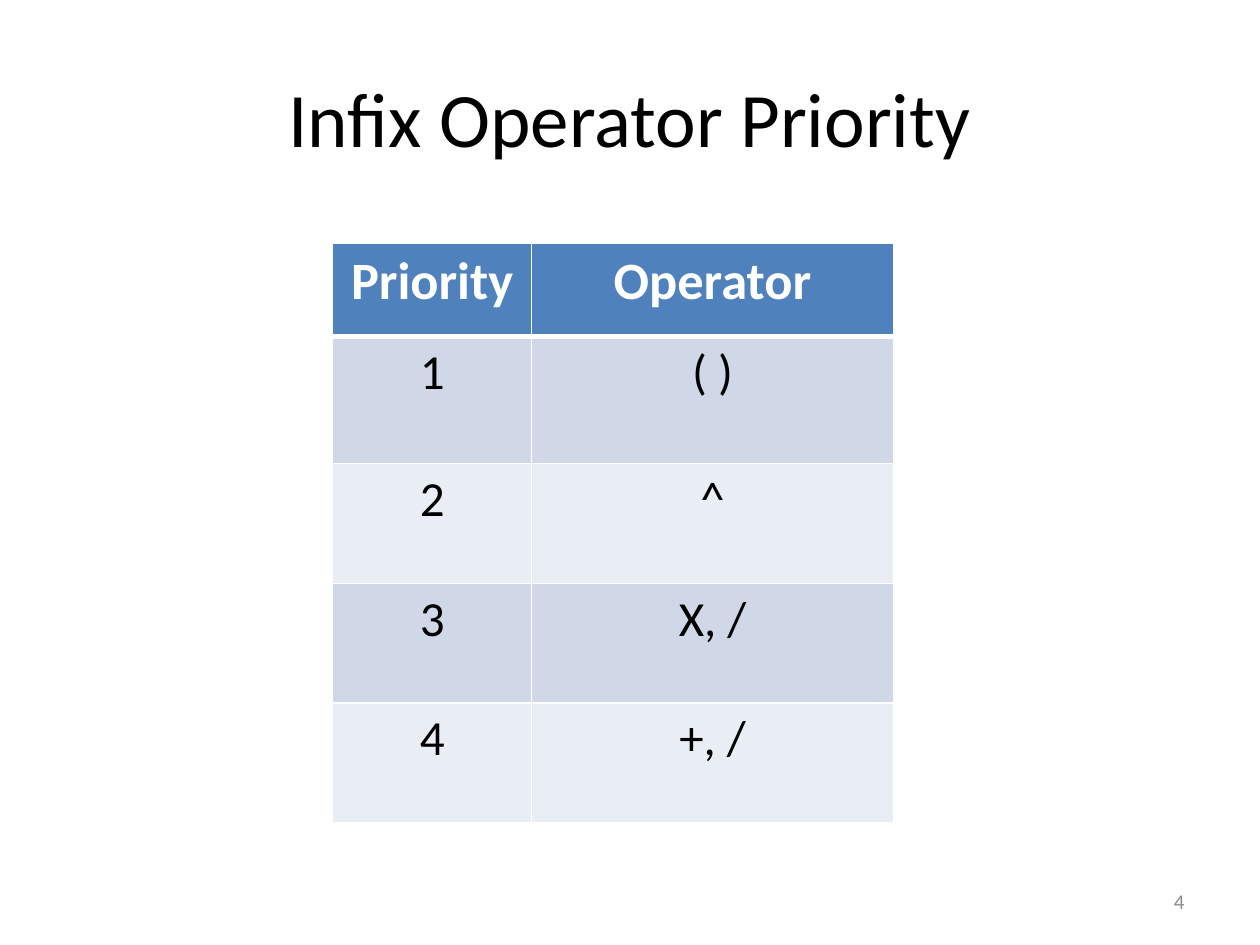
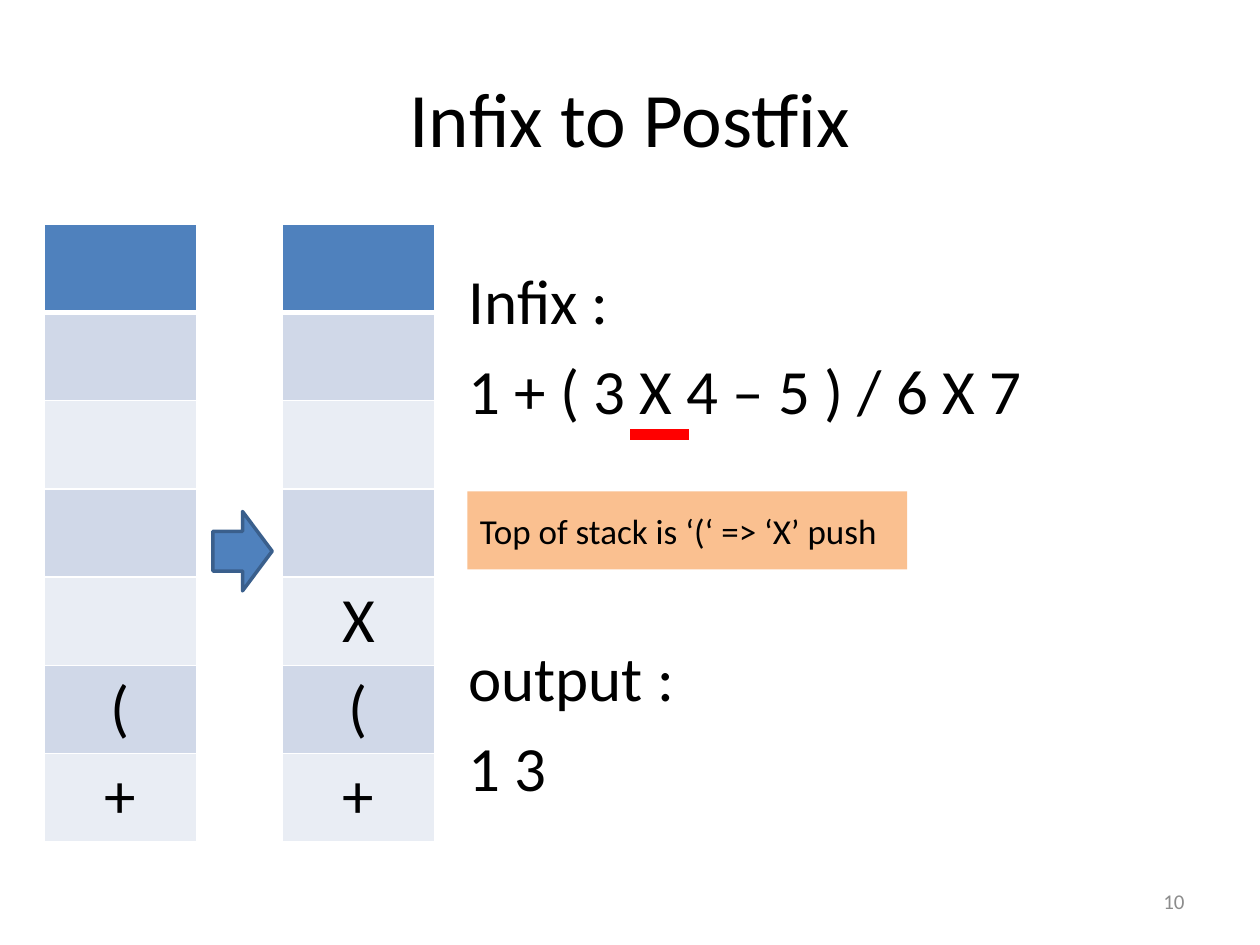
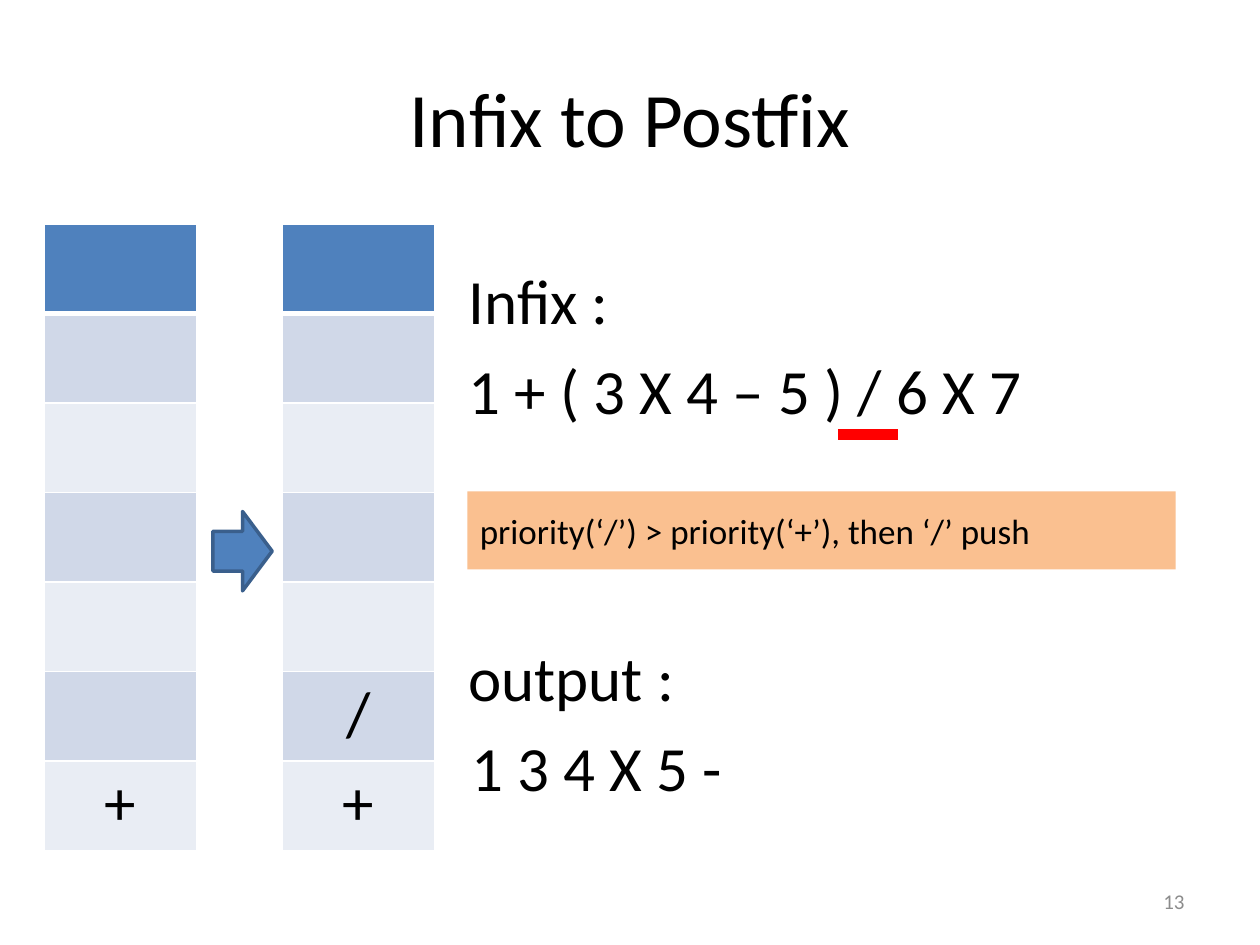
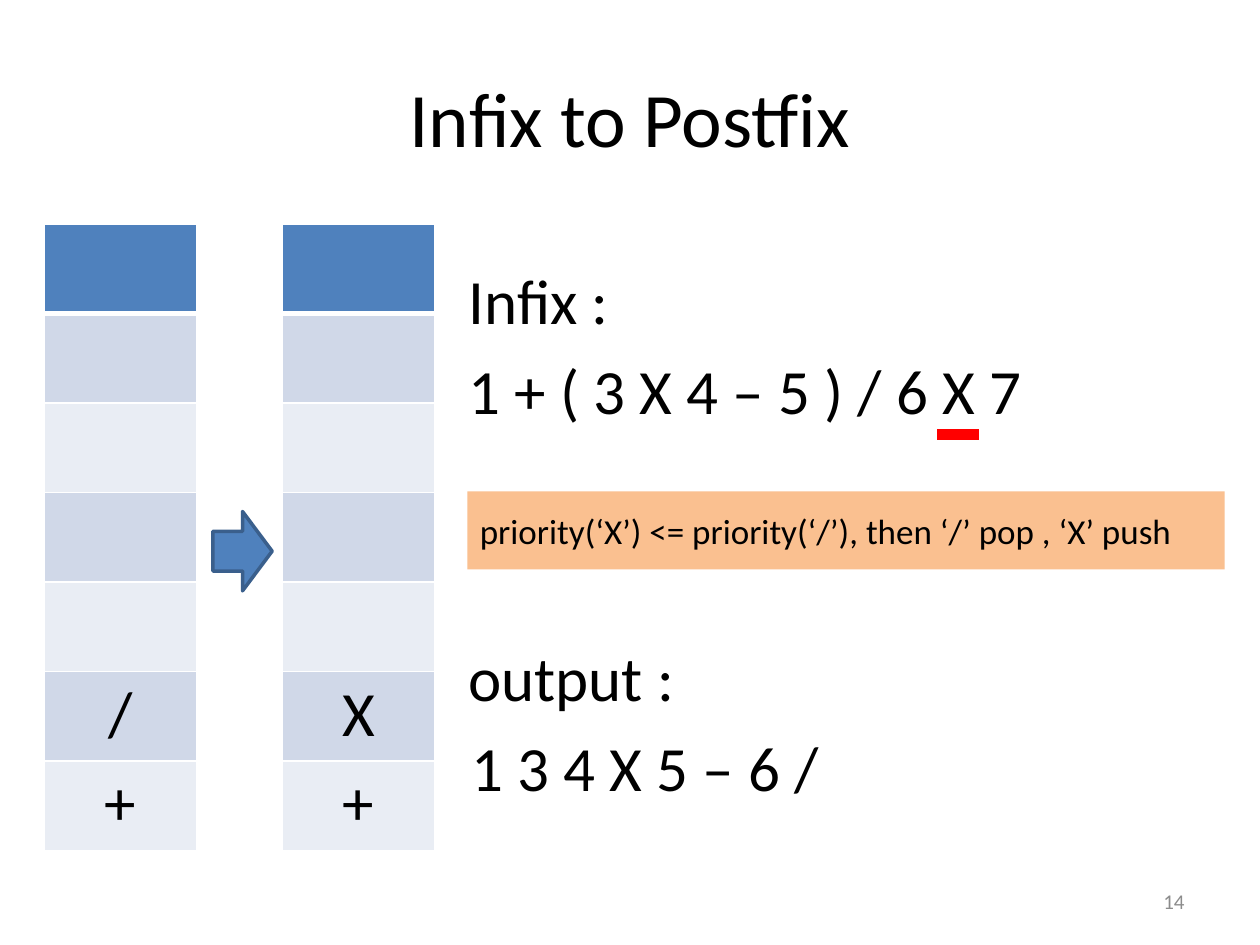
from pptx import Presentation
from pptx.dml.color import RGBColor
from pptx.enum.shapes import MSO_CONNECTOR, MSO_SHAPE
from pptx.enum.text import MSO_ANCHOR as Anchor, MSO_AUTO_SIZE as AutoSize, PP_ALIGN as Align
from pptx.oxml import parse_xml
from pptx.oxml.ns import nsdecls
from pptx.util import Inches, Pt

# Content
PRIORITY_PAGE = 4
PRIORITY_TITLE = "Infix Operator Priority"
PRIORITIES = [
    ("Priority", "Operator"),
    ("1", "( )"),
    ("2", "^"),
    ("3", "X, /"),
    ("4", "+, /"),
]
STEP_TITLE = "Infix to Postfix"
EXPRESSION = "1 + ( 3 X 4 – 5 ) / 6 X 7"
# Stacks are listed from the bottom up; "mark" is the underline's left and right
STEPS = [
    dict(page=10, before="+(", after="+(X", mark=(5, 5.47), row=0.7,
         rule="Top of stack is ‘(‘ => ‘X’ push", rule_width=3.49,
         output="1 3", output_left=3.62),
    dict(page=13, before="+", after="+/", mark=(6.65, 7.13), row=0.71,
         rule="priority(‘/’) > priority(‘+’), then ‘/’ push", rule_width=5.62,
         output="1 3 4 X 5 -", output_left=3.64),
    dict(page=14, before="+/", after="+X", mark=(7.44, 7.77), row=0.71,
         rule="priority(‘X’) <= priority(‘/’), then ‘/’ pop , ‘X’ push", rule_width=6.01,
         output="1 3 4 X 5 – 6 /", output_left=3.64),
]

# Shared style
FONT = "Calibri"
BLACK, WHITE, GREY, RED = "000000", "FFFFFF", "8C8C8C", "FF0000"
BLUE, DARK_BLUE, ORANGE = "4F81BD", "3A5F8C", "FAC090"
BANDS = ("E9EDF4", "D0D8E8")

# Shared layout, in inches
WIDTH, HEIGHT, MARGIN = 10, 7.5, 0.5
STACK_LEFTS, STACK_TOP, STACK_WIDTH, STACK_SLOTS = (0.35, 2.24), 1.78, 1.21, 7
TEXT_LEFT, LINE_HEIGHT = 3.62, 0.71
INFIX_TOP, OUTPUT_TOP = 2.03, 5.02

prs = Presentation()
prs.slide_width, prs.slide_height = Inches(WIDTH), Inches(HEIGHT)


def color(value):
    return RGBColor.from_string(value)


def box(left, top, width, height):
    return [Inches(n) for n in (left, top, width, height)]


def write(frame, text, size, fill=BLACK, align=Align.LEFT, bold=False):
    paragraph = frame.paragraphs[0]
    paragraph.text, paragraph.alignment = text, align
    font = paragraph.font
    font.name, font.size, font.bold = FONT, Pt(size), bold
    font.color.rgb = color(fill)


def add_text(slide, place, text, size, fill=BLACK, align=Align.LEFT, anchor=Anchor.MIDDLE):
    frame = slide.shapes.add_textbox(*box(*place)).text_frame
    frame.word_wrap, frame.vertical_anchor = True, anchor
    write(frame, text, size, fill, align)
    return frame


def add_line_of_text(slide, left, top, width, text):
    frame = add_text(slide, (left, top, width, LINE_HEIGHT), text, 36, anchor=Anchor.TOP)
    frame.auto_size = AutoSize.SHAPE_TO_FIT_TEXT


def add_shape(slide, kind, place, fill):
    shape = slide.shapes.add_shape(kind, *box(*place))
    shape.shadow.inherit = False
    shape.fill.solid()
    shape.fill.fore_color.rgb = color(fill)
    shape.line.fill.background()
    return shape


def set_borders(cell, row):
    """White rules, with a thick one under the heading row."""
    widths = dict(lnL=1, lnR=1, lnT=3 if row == 1 else 1, lnB=3 if row == 0 else 1)
    for index, (tag, width) in enumerate(widths.items()):
        cell._tc.get_or_add_tcPr().insert(index, parse_xml(
            f'<a:{tag} {nsdecls("a")} w="{Pt(width)}"><a:solidFill>'
            f'<a:srgbClr val="{WHITE}"/></a:solidFill></a:{tag}>'))


def add_table(slide, left, top, columns, heights, rows, sizes, pad=0.05):
    """Banded table; sizes holds the heading size and the body size."""
    place = box(left, top, sum(columns), sum(heights))
    table = slide.shapes.add_table(len(rows), len(columns), *place).table
    for column, width in zip(table.columns, columns):
        column.width = Inches(width)
    for r, (texts, height) in enumerate(zip(rows, heights)):
        table.rows[r].height = Inches(height)
        for c, text in enumerate(texts):
            cell = table.cell(r, c)
            cell.margin_top = cell.margin_bottom = Inches(pad)
            cell.fill.solid()
            cell.fill.fore_color.rgb = color(BANDS[r % 2] if r else BLUE)
            set_borders(cell, r)
            if text:
                write(cell.text_frame, text, sizes[r > 0], BLACK if r else WHITE,
                      Align.CENTER, bold=r == 0)


def add_slide(title, page):
    slide = prs.slides.add_slide(prs.slide_layouts[6])
    add_text(slide, (MARGIN, 0.3, WIDTH - 2 * MARGIN, 1.25), title, 44, align=Align.CENTER)
    add_text(slide, (7.17, 6.95, 2.33, 0.4), str(page), 12, GREY, Align.RIGHT)
    return slide


def add_stack(slide, left, items, row):
    slots = [""] * (STACK_SLOTS - len(items)) + list(reversed(items))
    add_table(slide, left, STACK_TOP, [STACK_WIDTH], [row] * STACK_SLOTS,
              [(slot,) for slot in slots], (36, 36), pad=0.04)


def add_underline(slide, start, end, y=3.45):
    line = slide.shapes.add_connector(MSO_CONNECTOR.STRAIGHT, *box(start, y, end, y))
    line.line.color.rgb, line.line.width = color(RED), Pt(6)
    line._element.spPr.append(parse_xml(f'<a:effectLst {nsdecls("a")}/>'))


# Priority table
add_table(add_slide(PRIORITY_TITLE, PRIORITY_PAGE), 2.64, 1.93, (1.58, 2.87),
          (0.74, 1.01, 0.95, 0.95, 0.95), PRIORITIES, (30, 28))

# Conversion steps
for step in STEPS:
    slide = add_slide(STEP_TITLE, step["page"])

    # Stack before and after, with the arrow between them
    for left, items in zip(STACK_LEFTS, (step["before"], step["after"])):
        add_stack(slide, left, items, step["row"])
    arrow = add_shape(slide, MSO_SHAPE.RIGHT_ARROW, (1.69, 4.06, 0.47, 0.63), BLUE)
    arrow.line.color.rgb, arrow.line.width = color(DARK_BLUE), Pt(2)

    # Infix expression with the current symbol underlined, then the output
    add_line_of_text(slide, TEXT_LEFT, INFIX_TOP, 1.42, "Infix :")
    add_line_of_text(slide, TEXT_LEFT, INFIX_TOP + LINE_HEIGHT, 6.29, EXPRESSION)
    add_underline(slide, *step["mark"])
    add_line_of_text(slide, TEXT_LEFT, OUTPUT_TOP, 2.05, "output :")
    add_line_of_text(slide, step["output_left"], OUTPUT_TOP + LINE_HEIGHT, 4.05, step["output"])

    # Rule applied in this step
    rule = add_shape(slide, MSO_SHAPE.RECTANGLE, (3.71, 3.9, step["rule_width"], 0.62), ORANGE)
    rule.text_frame.vertical_anchor = Anchor.MIDDLE
    rule.text_frame.word_wrap = True
    write(rule.text_frame, step["rule"], 20)

prs.save("out.pptx")
